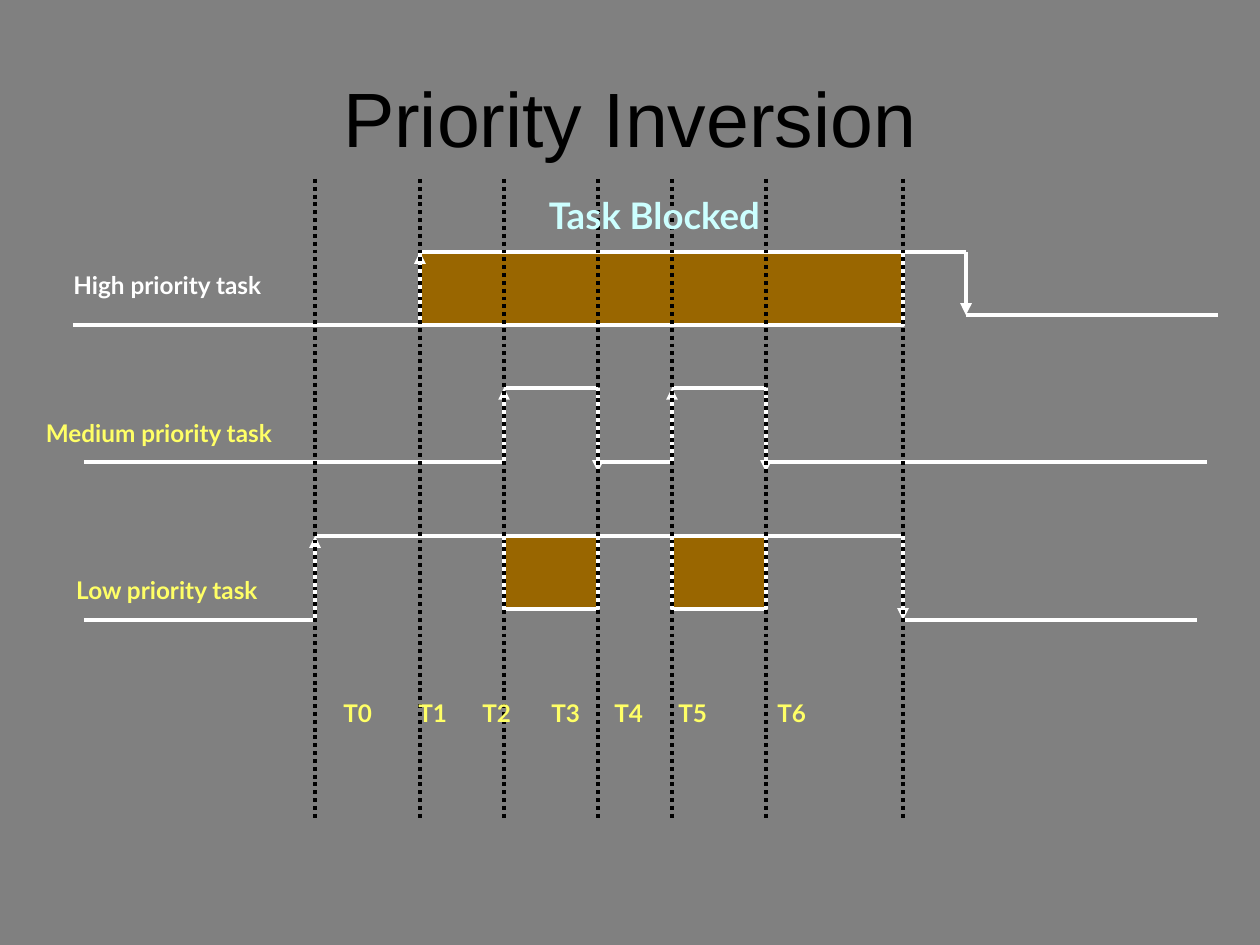
from itertools import pairwise

from lxml import etree
from pptx import Presentation
from pptx.dml.color import RGBColor
from pptx.enum.dml import MSO_LINE
from pptx.enum.shapes import MSO_CONNECTOR, MSO_SHAPE
from pptx.enum.text import MSO_ANCHOR, MSO_AUTO_SIZE, PP_ALIGN
from pptx.oxml.ns import qn
from pptx.util import Pt

STRAIGHT = MSO_CONNECTOR.STRAIGHT
RECTANGLE = MSO_SHAPE.RECTANGLE
DOTTED = MSO_LINE.ROUND_DOT
MIDDLE = MSO_ANCHOR.MIDDLE
FIT_TEXT = MSO_AUTO_SIZE.SHAPE_TO_FIT_TEXT
CENTER, LEFT = PP_ALIGN.CENTER, PP_ALIGN.LEFT

PX = 914400 / 126
COLORS = {
    name: RGBColor.from_string(value)
    for name, value in {
        "background": "808080",
        "blocked": "996600",
        "white": "FFFFFF",
        "black": "000000",
        "yellow": "FFFF66",
        "cyan": "CCFFFF",
    }.items()
}
LINE_WIDTH = Pt(2.25)


def px(*values):
    """Convert pixel lengths to EMU."""
    return [round(value * PX) for value in values]


def add_line(start, end, color, arrow=False):
    line = slide.shapes.add_connector(STRAIGHT, *px(*start, *end))
    line.line.color.rgb = COLORS[color]
    line.line.width = LINE_WIDTH
    if arrow:
        etree.SubElement(line.line._get_or_add_ln(), qn("a:tailEnd"), type="triangle")
    etree.SubElement(line._element.spPr, qn("a:effectLst"))
    return line


deck = Presentation()
deck.slide_width, deck.slide_height = px(1260, 945)
slide = deck.slides.add_slide(deck.slide_layouts[5])
slide.background.fill.solid()
slide.background.fill.fore_color.rgb = COLORS["background"]

title = slide.shapes.title
title.left, title.top, title.width, title.height = px(63, 38, 1134, 157)
title.text_frame.text = "Priority Inversion"
title.text_frame.vertical_anchor = MIDDLE
para = title.text_frame.paragraphs[0]
para.alignment = CENTER
para.font.name = "Arial"
para.font.size = Pt(44)
para.font.color.rgb = COLORS["black"]

# Times at which a task starts, stops or is preempted
times = [315, 420, 504, 598, 672, 766, 903]
low_start, high_start, medium_start, medium_stop, medium_restart, medium_end, low_end = times

# Blocked periods: left, right, top, bottom
for left, right, top, bottom in [
    (medium_restart, medium_end, 536, 609),
    (medium_start, medium_stop, 536, 609),
    (high_start, low_end, 252, 325),
]:
    block = slide.shapes.add_shape(RECTANGLE, *px(left, top, right - left, bottom - top))
    block.shadow.inherit = False
    block.fill.solid()
    block.fill.fore_color.rgb = COLORS["blocked"]
    block.line.color.rgb = COLORS["white"]
    block.line.width = LINE_WIDTH

# Task traces: corner points, and how far a falling arrow runs past its corner
high_trace = [(73, 325), (high_start, 325), (high_start, 252), (966, 252), (966, 315), (1218, 315)]
medium_trace = [
    (84, 462), (medium_start, 462), (medium_start, 388), (medium_stop, 388),
    (medium_stop, 462), (medium_restart, 462), (medium_restart, 388),
    (medium_end, 388), (medium_end, 462), (1207, 462),
]
low_trace = [(84, 620), (low_start, 620), (low_start, 536), (low_end, 536), (low_end, 620), (1197, 620)]
for trace, overrun in [(high_trace, 0), (medium_trace, 10), (low_trace, 0)]:
    for start, end in pairwise(trace):
        tip = (end[0], end[1] + overrun) if end[1] > start[1] else end
        add_line(start, tip, "white", arrow=start[0] == end[0])

for time in times:
    add_line((time, 179), (time, 819), "black").line.dash_style = DOTTED

# Labels: text, left, top, width, height, size, color, alignment
period_names = "\t".join(f"T{number}" for number in range(7))
period_tabs = [75, 139, 208, 271, 335, 434]
for text, left, top, width, height, size, color, alignment in [
    ("High priority task", 47, 243, 241, 63, 24, "white", CENTER),
    ("Medium priority task", 18, 391, 282, 63, 24, "yellow", CENTER),
    ("Low priority task", 51, 548, 232, 63, 24, "yellow", CENTER),
    ("Task Blocked", 523, 155, 263, 88, 36, "cyan", CENTER),
    (period_names, 331, 671, 507, 63, 24, "yellow", LEFT),
]:
    box = slide.shapes.add_textbox(*px(left, top, width, height))
    frame = box.text_frame
    frame.text = text
    frame.word_wrap = text == period_names
    frame.auto_size = FIT_TEXT
    frame.vertical_anchor = MIDDLE
    para = frame.paragraphs[0]
    para.alignment = alignment
    if text == period_names:
        tab_list = etree.SubElement(para._p.get_or_add_pPr(), qn("a:tabLst"))
        for position in px(*period_tabs):
            etree.SubElement(tab_list, qn("a:tab"), pos=str(position), algn="l")
    for span in para.runs:
        span.font.name = "Lato"
        span.font.size = Pt(size)
        span.font.bold = True
        span.font.color.rgb = COLORS[color]
        span._r.get_or_add_rPr().set("baseline", "-8000")

deck.save("out.pptx")
